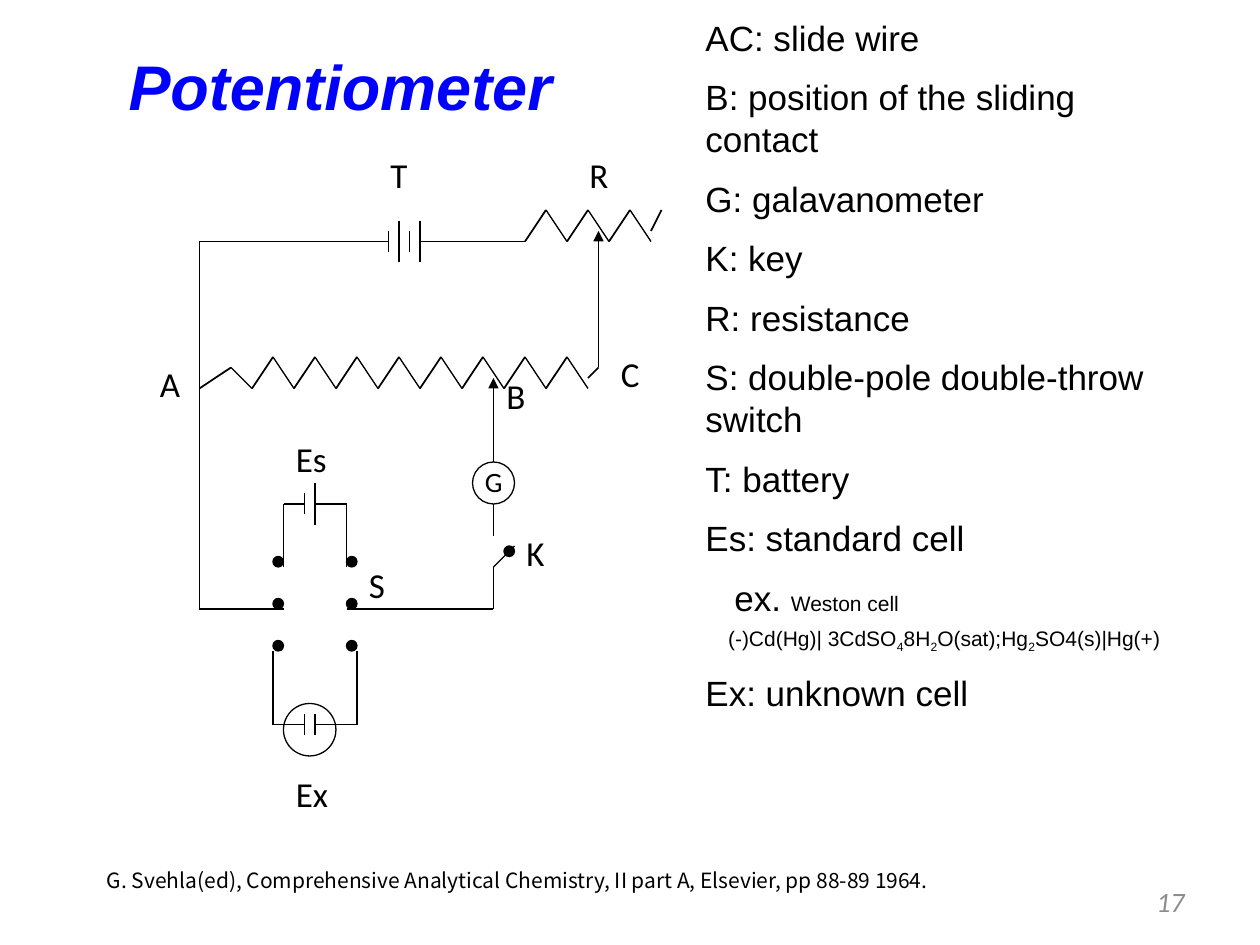
from itertools import pairwise, product

from lxml import etree
from pptx import Presentation
from pptx import util as u
from pptx.dml.color import RGBColor
from pptx.enum import shapes, text
from pptx.oxml import ns

LEGEND_TOP = [
    "AC: slide wire", "B: position of the sliding contact", "G: galavanometer",
    "K: key", "R: resistance", "S: double-pole double-throw switch",
    "T: battery", "Es: standard cell",
]
WESTON_CELL = [("(-)Cd(Hg)| 3CdSO", False), ("4", True), ("8H", False), ("2", True),
               ("O(sat);Hg", False), ("2", True), ("SO4(s)|Hg(+)", False)]
SLIDE_WIRE = [(19, 37), (22, 35)] + [(x, 34 if x % 4 == 2 else 37) for x in range(24, 57, 2)]
RESISTOR = [(x, 20 if x % 4 == 0 else 23) for x in range(50, 63, 2)]
WIRES = [
    [(19, 23), (19, 58), (27, 58)],
    [(33, 58), (47, 58), (47, 54), (49, 52)],
    [(40, 23), (50, 23)],
    [(27, 54), (27, 48), (29, 48)],
    [(30, 48), (33, 48), (33, 54)],
    [(47, 51), (47, 48)],
    [(26, 62), (26, 69), (29, 69)],
    [(30, 69), (34, 69), (34, 62)],
]
PLATES = [(37, 22, 24), (38, 21, 25), (39, 22, 24), (40, 21, 25),
          (29, 47, 49), (30, 46, 50), (29, 68, 70), (30, 68, 70)]
LABELS = [("A", 1.17, 2.83, 0.4), ("C", 4.83, 2.75, 0.39), ("T", 3, 1.17, 0.37),
          ("B", 3.92, 2.92, 0.39), ("R", 4.58, 1.17, 0.39), ("Es", 2.25, 3.42, 0.48),
          ("S", 2.83, 4.42, 0.36), ("K", 4.08, 4.17, 0.4)]


def color(value):
    """Return the colour of a hex string."""
    return RGBColor.from_string(value)


def grid(*units):
    """Return lengths for circuit grid units of a twelfth of an inch."""
    return [u.Inches(unit / 12) for unit in units]


def style(font, size, name="Arial", fill="000000"):
    """Set size, typeface and colour of a font."""
    font.size, font.name = u.Pt(size), name
    font.color.rgb = color(fill)


def add_line(group, start, end, width=0.75, arrow=False):
    """Draw a black straight line between two grid points."""
    line = group.shapes.add_connector(shapes.MSO_CONNECTOR.STRAIGHT, *grid(*start, *end))
    line.line.color.rgb, line.line.width = color("000000"), u.Pt(width)
    properties = line._element.spPr
    if arrow:
        etree.SubElement(properties.find(ns.qn("a:ln")), ns.qn("a:tailEnd"), type="triangle")
    etree.SubElement(properties, ns.qn("a:effectLst"))


def add_wire(group, points):
    """Draw a bent wire as a chain of lines."""
    for start, end in pairwise(points):
        add_line(group, start, end)


def add_zigzag(group, points):
    """Draw a zigzag whose rising strokes are heavier."""
    for start, end in pairwise(points):
        add_line(group, start, end, 1 if end[1] < start[1] else 0.75)


def add_circle(group, left, top, size, filled=False):
    """Draw a circle on the grid, solid or open."""
    circle = group.shapes.add_shape(shapes.MSO_SHAPE.OVAL, *grid(left, top, size, size))
    circle.shadow.inherit = False
    circle.line.color.rgb, circle.line.width = color("000000"), u.Pt(0.75)
    if filled:
        circle.fill.solid()
        circle.fill.fore_color.rgb = color("000000")
    else:
        circle.fill.background()


def add_label(parent, words, left, top, width, height=0.43, size=20, name="Calibri"):
    """Add one unwrapped line of text and return its paragraph."""
    box = parent.shapes.add_textbox(*map(u.Inches, (left, top, width, height)))
    box.text_frame.word_wrap = False
    paragraph = box.text_frame.paragraphs[0]
    paragraph.text = words
    style(paragraph.font, size, name)
    return paragraph


def add_title(slide):
    """Place and format the slide title."""
    title = slide.shapes.title
    title.left, title.top, title.width, title.height = map(u.Inches, (0.92, 0.33, 4.92, 0.71))
    frame = title.text_frame
    frame.text = "Potentiometer"
    frame.vertical_anchor = text.MSO_ANCHOR.TOP
    frame.auto_size = text.MSO_AUTO_SIZE.NONE
    paragraph = frame.paragraphs[0]
    paragraph.alignment = text.PP_ALIGN.LEFT
    style(paragraph.font, 36, fill="0000FF")
    paragraph.font.bold = paragraph.font.italic = True


def add_legend_line(frame, size=20, indent=0):
    """Add an empty legend paragraph spaced by its text size."""
    first = not frame.paragraphs[0].runs
    paragraph = frame.paragraphs[0] if first else frame.add_paragraph()
    paragraph.line_spacing = u.Pt(size * 1.2)
    if not first:
        paragraph.space_before = u.Pt(size / 2)
    if indent:
        paragraph._p.get_or_add_pPr().set("marL", str(u.Inches(indent)))
    style(paragraph.font, size)
    return paragraph


def add_legend(slide):
    """Add the list that explains the circuit letters."""
    box = slide.shapes.add_textbox(*map(u.Inches, (5.5, 0.08, 4.08, 6.16)))
    frame = box.text_frame
    frame.word_wrap = True
    for words in LEGEND_TOP:
        add_legend_line(frame).add_run().text = words
    example = add_legend_line(frame, indent=0.23)
    for words, size in (("ex. ", 20), ("Weston cell", 12)):
        run = example.add_run()
        run.text = words
        style(run.font, size)
    formula = add_legend_line(frame, 12, 0.18)
    for words, subscript in WESTON_CELL:
        run = formula.add_run()
        run.text = words
        if subscript:
            run.font._element.set("baseline", "-25000")
    add_legend_line(frame).add_run().text = "Ex: unknown cell"


def add_circuit(slide):
    """Draw the potentiometer circuit as one group."""
    group = slide.shapes.add_group_shape()
    add_line(group, (19, 23), (37, 23), 1)
    for points in WIRES:
        add_wire(group, points)
    for x, top, bottom in PLATES:
        add_line(group, (x, top), (x, bottom))
    for points in (SLIDE_WIRE, RESISTOR, [(56, 36), (57, 35)], [(62, 22), (63, 20)]):
        add_zigzag(group, points)
    add_line(group, (57, 35), (57, 22), arrow=True)
    add_line(group, (47, 44), (47, 36), arrow=True)
    add_circle(group, 45, 44, 4)
    add_circle(group, 27, 67, 5)
    for left, top in [*product((26, 33), (53, 57, 61)), (48, 52)]:
        add_circle(group, left, top, 1, filled=True)
    for label in LABELS:
        add_label(group, *label)
    add_label(group, "G", 3.75, 3.64, 0.36, 0.37, 16)


def add_page_number(slide):
    """Add the grey page number."""
    paragraph = add_label(slide, "17", 7.17, 6.95, 2.33, 0.4, 16)
    paragraph.alignment = text.PP_ALIGN.RIGHT
    paragraph.font.italic = True
    paragraph.font.color.rgb = color("8C8C8C")
    frame = slide.shapes[-1].text_frame
    frame.word_wrap = True
    frame.vertical_anchor = text.MSO_ANCHOR.MIDDLE


def main():
    """Build and save the slide."""
    presentation = Presentation()
    presentation.slide_width, presentation.slide_height = u.Inches(10), u.Inches(7.5)
    slide = presentation.slides.add_slide(presentation.slide_layouts[5])
    add_title(slide)
    add_label(slide, "Ex", 2.25, 6.08, 0.51)
    add_legend(slide)
    add_circuit(slide)
    add_label(slide, "G. Svehla(ed), Comprehensive Analytical Chemistry, II part A, "
              "Elsevier, pp 88-89 1964.", 0.75, 6.84, 6.98, 0.3, 12, "Noto Sans CJK KR")
    add_page_number(slide)
    presentation.save("out.pptx")


if __name__ == "__main__":
    main()
